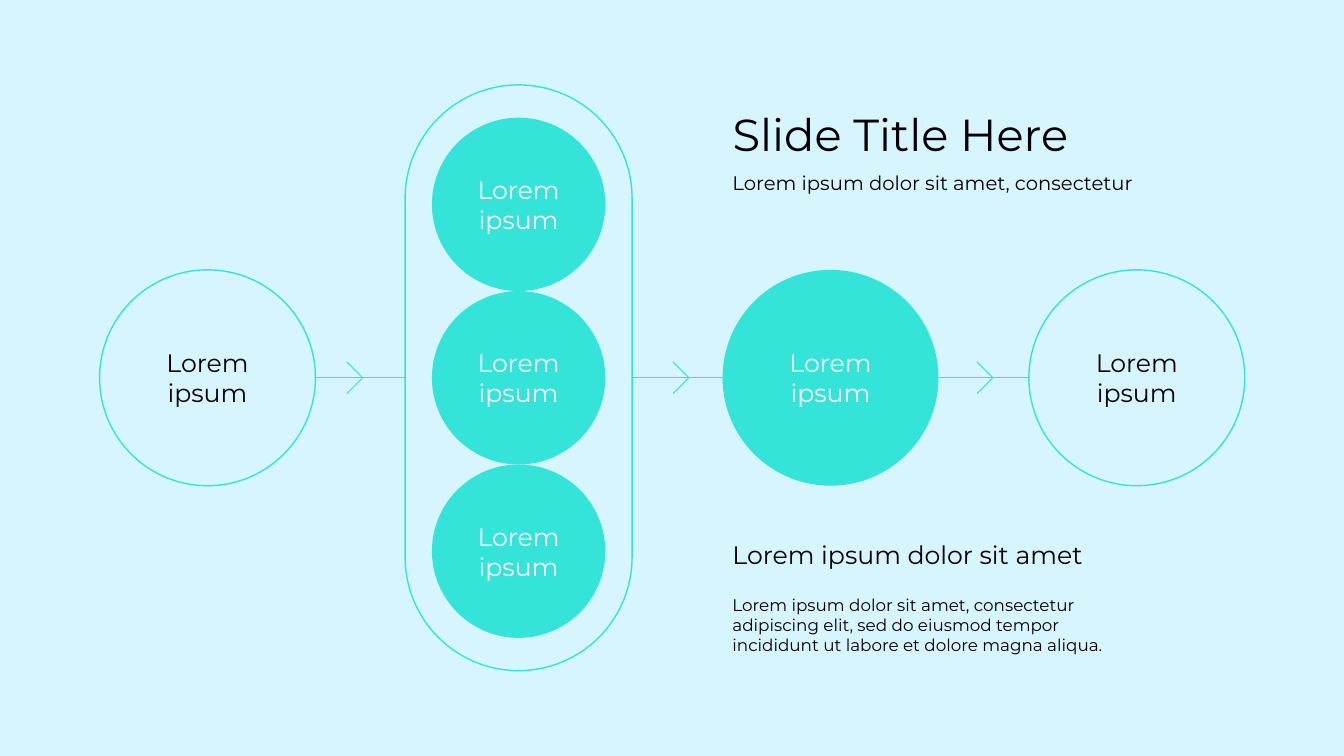
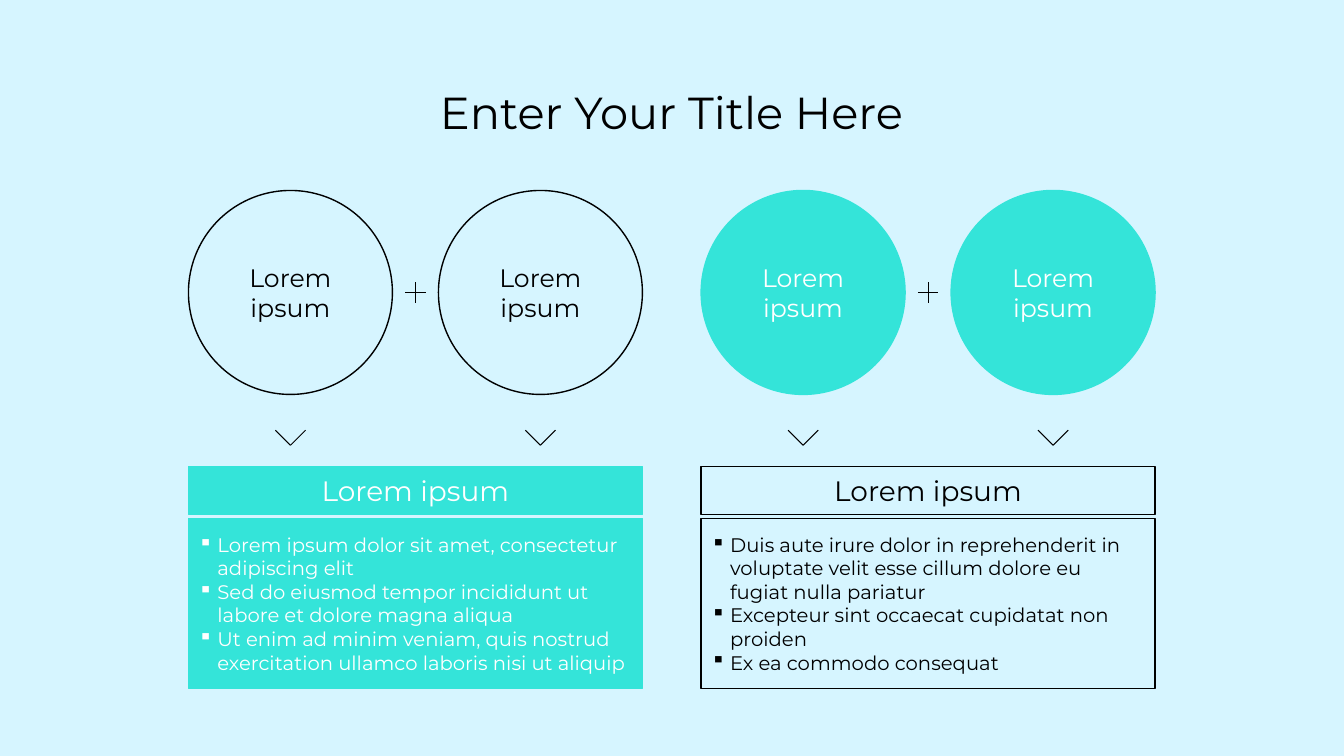
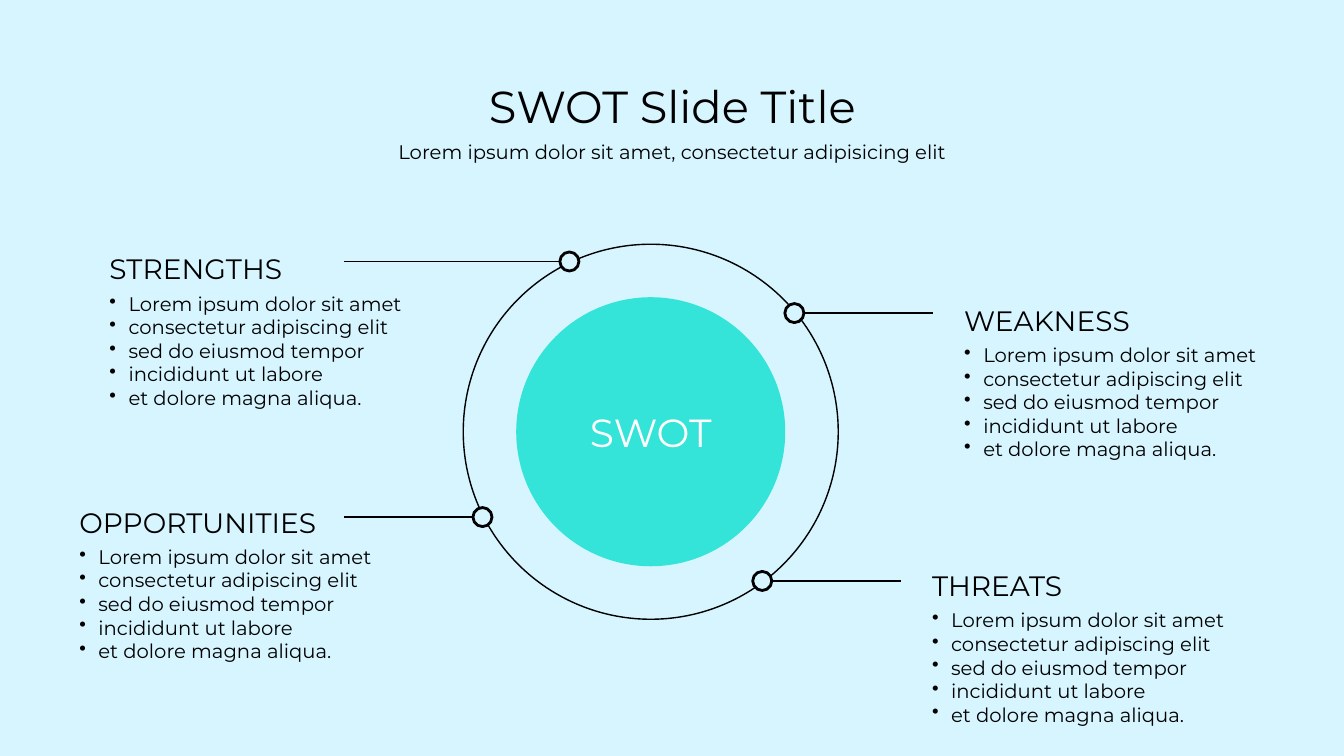
from dataclasses import dataclass
from typing import Optional

from lxml import etree
from pptx import Presentation
from pptx.dml.color import RGBColor
from pptx.enum.shapes import MSO_CONNECTOR, MSO_SHAPE
from pptx.enum.text import MSO_ANCHOR, MSO_AUTO_SIZE, PP_ALIGN
from pptx.oxml.ns import qn
from pptx.shapes.autoshape import Shape
from pptx.slide import Slide
from pptx.util import Cm, Pt

OVAL, RECT, PILL = MSO_SHAPE.OVAL, MSO_SHAPE.RECTANGLE, MSO_SHAPE.ROUNDED_RECTANGLE
STRAIGHT = MSO_CONNECTOR.STRAIGHT
LEFT, CENTER = PP_ALIGN.LEFT, PP_ALIGN.CENTER
TOP, MIDDLE = MSO_ANCHOR.TOP, MSO_ANCHOR.MIDDLE
GROW, NO_FIT = MSO_AUTO_SIZE.SHAPE_TO_FIT_TEXT, MSO_AUTO_SIZE.NONE

COLORS = {"sky": "D6F5FF", "teal": "34E4D9", "black": "000000", "white": "FFFFFF"}
FONT = "Montserrat"
WIDTH, HEIGHT = 33.87, 19.05
TITLE_ONLY = 5
LABEL = "Lorem ipsum"
INSETS = (0.25, 0.13)


@dataclass
class Style:
    fill: Optional[str]
    line: Optional[str]
    text: str = "black"
    weight: float = 1


@dataclass
class Step:
    cx: float
    style: Style


@dataclass
class Panel:
    left: float
    circle: Style
    box: Style
    points: list[str]


@dataclass
class Quadrant:
    heading: str
    left: float
    top: float
    width: float
    dot_x: float
    dot_y: float
    line_end: float


SOLID = Style("teal", None, "white")
SOLID_EDGED = Style("teal", "teal", "white")
TEAL_OUTLINE = Style("sky", "teal")
BLACK_OUTLINE = Style(None, "black")
DOT = Style("sky", "black", weight=2)

STEPS = [Step(5.23, TEAL_OUTLINE), Step(20.93, SOLID), Step(28.65, TEAL_OUTLINE)]
PANELS = [
    Panel(4.75, BLACK_OUTLINE, SOLID_EDGED, [
        "Lorem ipsum dolor sit amet, consectetur adipiscing elit",
        "Sed do eiusmod tempor incididunt ut labore et dolore magna aliqua",
        "Ut enim ad minim veniam, quis nostrud exercitation ullamco laboris nisi ut aliquip",
    ]),
    Panel(17.67, SOLID_EDGED, BLACK_OUTLINE, [
        "Duis aute irure dolor in reprehenderit in voluptate velit esse cillum dolore eu "
        "fugiat nulla pariatur",
        "Excepteur sint occaecat cupidatat non proiden",
        "Ex ea commodo consequat",
    ]),
]
QUADRANTS = [
    Quadrant("STRENGTHS", 2.51, 6.22, 9.07, 14.35, 6.59, 8.66),
    Quadrant("WEAKNESS", 24.05, 7.52, 8.31, 20.02, 7.89, 23.52),
    Quadrant("OPPORTUNITIES", 1.75, 12.6, 9.07, 12.16, 13.03, 8.66),
    Quadrant("THREATS", 23.24, 14.2, 8.31, 19.21, 14.64, 22.71),
]
SWOT_POINTS = [
    "Lorem ipsum dolor sit amet",
    "consectetur adipiscing elit",
    "sed do eiusmod tempor",
    "incididunt ut labore",
    "et dolore magna aliqua.",
]


def rgb(name: str) -> RGBColor:
    return RGBColor.from_string(COLORS[name])


def add_bullet(p, char: str, color: str) -> None:
    pPr = p._p.get_or_add_pPr()
    pPr.set("marL", str(Cm(0.48)))
    pPr.set("indent", str(-Cm(0.48)))
    clr = etree.SubElement(pPr, qn("a:buClr"))
    etree.SubElement(clr, qn("a:srgbClr")).set("val", COLORS[color])
    etree.SubElement(pPr, qn("a:buChar")).set("char", char)


def write(sp: Shape, *lines: str, size: float, color: str = "black", align=LEFT,
          anchor=TOP, fit=NO_FIT, insets: tuple[float, float] = INSETS,
          bullet: str = "") -> None:
    tf = sp.text_frame
    tf.word_wrap = True
    tf.auto_size = fit
    tf.vertical_anchor = anchor
    tf.margin_left = tf.margin_right = Cm(insets[0])
    tf.margin_top = tf.margin_bottom = Cm(insets[1])
    for i, line in enumerate(lines):
        p = tf.add_paragraph() if i else tf.paragraphs[0]
        p.alignment = align
        if bullet:
            add_bullet(p, bullet, color)
        r = p.add_run()
        r.text = line
        r.font.name = FONT
        r.font.size = Pt(size)
        r.font.color.rgb = rgb(color)


def add_text(s: Slide, x: float, y: float, w: float, h: float, *lines: str, **fmt) -> None:
    sp = s.shapes.add_textbox(Cm(x), Cm(y), Cm(w), Cm(h))
    write(sp, *lines, fit=GROW, **fmt)


def add_shape(s: Slide, kind, x: float, y: float, w: float, h: float, style: Style) -> Shape:
    sp = s.shapes.add_shape(kind, Cm(x), Cm(y), Cm(w), Cm(h))
    sp.shadow.inherit = False
    if style.fill:
        sp.fill.solid()
        sp.fill.fore_color.rgb = rgb(style.fill)
    else:
        sp.fill.background()
    if style.line:
        sp.line.color.rgb = rgb(style.line)
        sp.line.width = Pt(style.weight)
    else:
        sp.line.fill.background()
    return sp


def add_circle(s: Slide, cx: float, cy: float, d: float, style: Style,
               text: str = "", size: float = 18) -> None:
    sp = add_shape(s, OVAL, cx - d / 2, cy - d / 2, d, d, style)
    if text:
        write(sp, text, size=size, color=style.text, align=CENTER, anchor=MIDDLE, insets=(0, 0))


def add_line(s: Slide, x1: float, y1: float, x2: float, y2: float,
             color: str = "black", weight: float = 0.75) -> None:
    ln = s.shapes.add_connector(STRAIGHT, Cm(x1), Cm(y1), Cm(x2), Cm(y2))
    ln.line.color.rgb = rgb(color)
    ln.line.width = Pt(weight)
    etree.SubElement(ln._element.spPr, qn("a:effectLst"))


def add_chevron(s: Slide, x: float, y: float, arm: float, down: bool = False,
                color: str = "black") -> None:
    for side in (-arm, arm):
        dx, dy = (side, -arm) if down else (-arm, side)
        add_line(s, x + dx, y + dy, x, y, color)


def new_slide(prs, title: str, x: float, y: float, w: float, align=CENTER) -> Slide:
    s = prs.slides.add_slide(prs.slide_layouts[TITLE_ONLY])
    sp = s.shapes.title
    sp.left, sp.top, sp.width, sp.height = Cm(x), Cm(y), Cm(w), Cm(1.63)
    write(sp, title, size=32, align=align, fit=GROW)
    return s


def build_process(prs) -> None:
    mid, step_d, option_d = 9.52, 5.44, 4.37
    pill_cx, pill_w, pill_h = 13.07, 5.72, 14.76
    text_x = 18.21
    s = new_slide(prs, "Slide Title Here", text_x, 2.57, 13.21, LEFT)
    add_line(s, STEPS[0].cx - step_d / 2, mid, STEPS[-1].cx + step_d / 2, mid, "teal")
    for tip in (9.14, 17.36, 25.02):
        add_chevron(s, tip, mid, 0.4, color="teal")
    pill = add_shape(s, PILL, pill_cx - pill_w / 2, mid - pill_h / 2, pill_w, pill_h,
                     TEAL_OUTLINE)
    pill.adjustments[0] = 0.5
    for row in (-1, 0, 1):
        add_circle(s, pill_cx, mid + row * option_d, option_d, SOLID, LABEL)
    for step in STEPS:
        add_circle(s, step.cx, mid, step_d, step.style, LABEL)
    add_text(s, text_x, 4.17, 11.18, 0.86, "Lorem ipsum dolor sit amet, consectetur", size=14)
    add_text(s, text_x, 13.46, 10.46, 1.02, "Lorem ipsum dolor sit amet", size=18)
    add_text(s, text_x, 14.86, 10.46, 1.8,
             "Lorem ipsum dolor sit amet, consectetur adipiscing elit, sed do eiusmod tempor "
             "incididunt ut labore et dolore magna aliqua.", size=12)


def build_comparison(prs) -> None:
    panel_w, circle_d, circle_y, plus_arm = 11.44, 5.14, 7.37, 0.26
    s = new_slide(prs, "Enter Your Title Here", 7.44, 2.01, 18.97)
    for panel in PANELS:
        left, right = panel.left, panel.left + panel_w
        for cx in (left + circle_d / 2, right - circle_d / 2):
            add_circle(s, cx, circle_y, circle_d, panel.circle, LABEL)
            add_chevron(s, cx, 11.22, 0.38, down=True)
        cx = (left + right) / 2
        add_line(s, cx - plus_arm, circle_y, cx + plus_arm, circle_y)
        add_line(s, cx, circle_y - plus_arm, cx, circle_y + plus_arm)
        header = add_shape(s, RECT, left, 11.76, panel_w, 1.2, panel.box)
        write(header, LABEL, size=20, color=panel.box.text, align=CENTER, anchor=MIDDLE)
        body = add_shape(s, RECT, left, 13.06, panel_w, 4.29, panel.box)
        write(body, *panel.points, size=14, color=panel.box.text, anchor=MIDDLE, bullet="▪")


def build_swot(prs) -> None:
    cx, cy, dot_d = 16.4, 10.88, 0.48
    title_x, title_w = 6.91, 20.07
    s = new_slide(prs, "SWOT Slide Title", title_x, 1.85, title_w)
    add_text(s, title_x, 3.4, title_w, 0.86,
             "Lorem ipsum dolor sit amet, consectetur adipisicing elit", size=14, align=CENTER)
    add_circle(s, cx, cy, 6.78, SOLID, "SWOT", 28)
    add_circle(s, cx, cy, 9.45, BLACK_OUTLINE)
    for q in QUADRANTS:
        edge = dot_d / 2 if q.line_end > q.dot_x else -dot_d / 2
        add_circle(s, q.dot_x, q.dot_y, dot_d, DOT)
        add_line(s, q.dot_x + edge, q.dot_y, q.line_end, q.dot_y, weight=1)
        add_text(s, q.left, q.top, q.width, 1.12, q.heading, size=20)
        add_text(s, q.left, q.top + 1, q.width, 3.25, *SWOT_POINTS, size=14, bullet="•")


def main() -> None:
    prs = Presentation()
    prs.slide_width, prs.slide_height = Cm(WIDTH), Cm(HEIGHT)
    fill = prs.slide_master.background.fill
    fill.solid()
    fill.fore_color.rgb = rgb("sky")
    build_process(prs)
    build_comparison(prs)
    build_swot(prs)
    prs.save("out.pptx")


if __name__ == "__main__":
    main()
